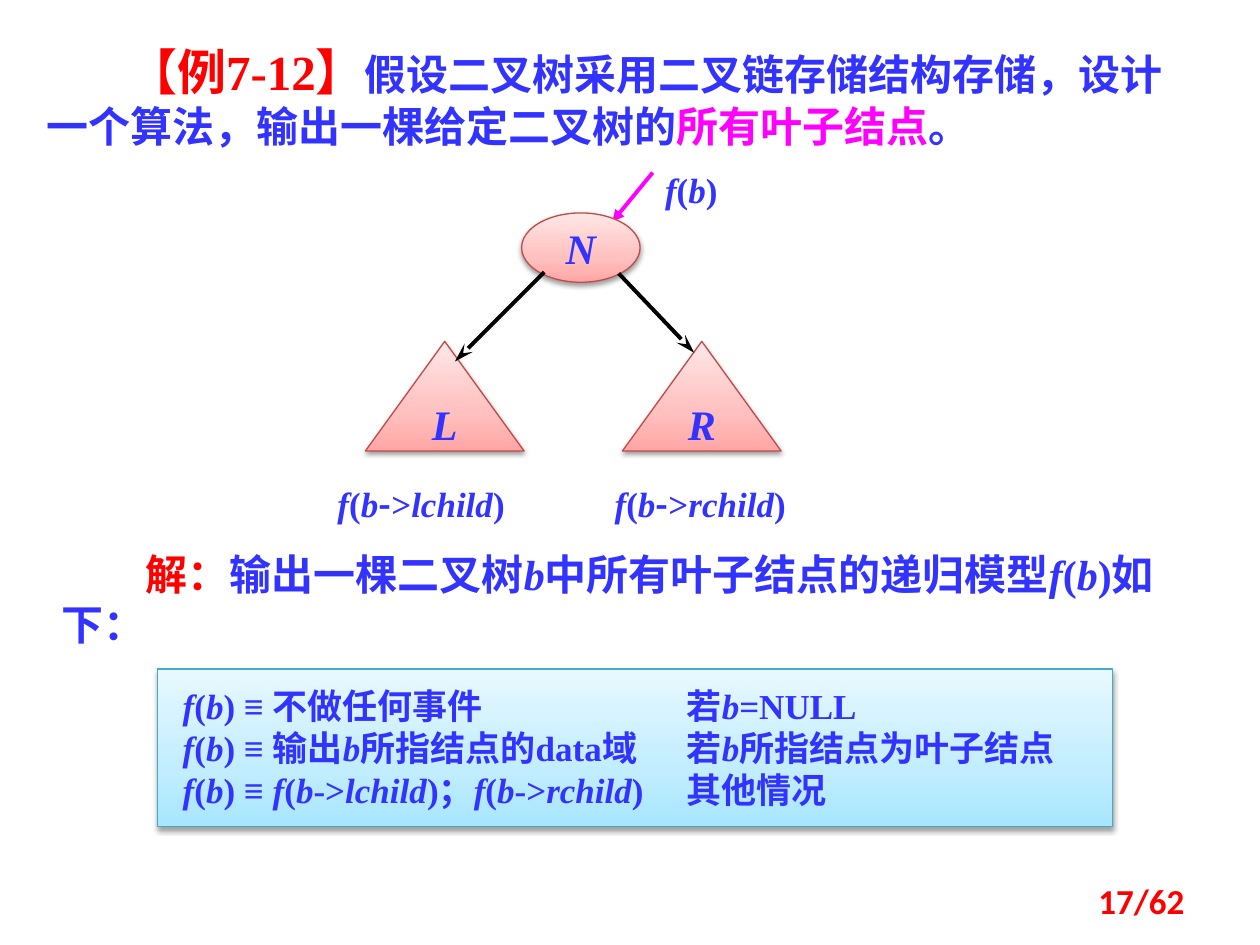
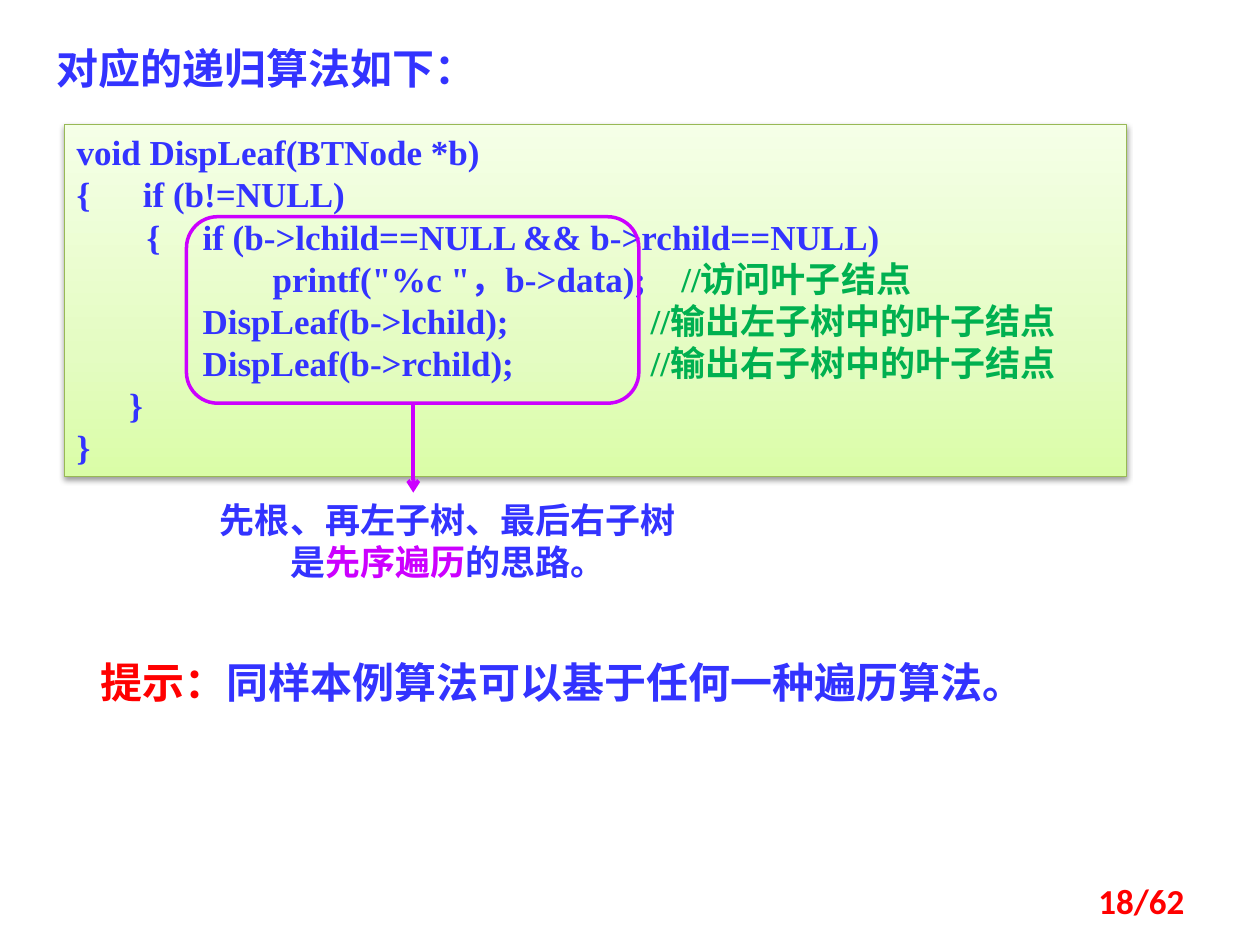
from copy import deepcopy
from dataclasses import dataclass

from lxml import etree
from pptx import Presentation
from pptx.dml import color
from pptx.enum import shapes, text
from pptx.oxml import ns
from pptx.util import Inches, Pt

BLUE, RED, GREEN = "3333FF", "FF0000", "00B050"
MAGENTA, PURPLE, BLACK = "FF00FF", "CC00FF", "000000"
SERIF, SANS, CJK = "Times New Roman", "Calibri", "Noto Sans CJK SC"
PAGE_COUNT = 62
LEFT, CENTER, RIGHT = text.PP_ALIGN.LEFT, text.PP_ALIGN.CENTER, text.PP_ALIGN.RIGHT


@dataclass(frozen=True)
class Run:
    text: str
    color: str = BLUE
    italic: bool = False
    size: int | None = None
    font: str = SERIF


@dataclass(frozen=True)
class Box:
    left: float
    top: float
    width: float
    height: float


@dataclass(frozen=True)
class Theme:
    line: str
    stops: tuple[str, str, str]


@dataclass(frozen=True)
class Node:
    label: str
    kind: shapes.MSO_SHAPE
    box: Box


@dataclass(frozen=True)
class Arrow:
    start: tuple[float, float]
    end: tuple[float, float]
    color: str
    head: str
    head_length: str = "med"


SKY = Theme("46AAC5", ("A7E6FF", "C1EDFF", "E7F8FF"))
ROSE = Theme("BF4C48", ("FFA6A5", "FFC0BF", "FFE7E7"))
LIME = Theme("98B955", ("DAFDA7", "E4FCC2", "F5FFE7"))


def rgb(value: str) -> color.RGBColor:
    return color.RGBColor.from_string(value)


def formula(source: str, size: int | None = None) -> list[Run]:
    parts = enumerate(source.split("|"))
    return [Run(part, italic=index % 2 == 1, size=size) for index, part in parts if part]


def write(frame, paragraphs: list[list[Run]], size: int, align=LEFT, indent: float = 0,
          tabs: tuple[float, ...] = (), spacing: float | None = None) -> None:
    frame.word_wrap = True
    for index, runs in enumerate(paragraphs):
        paragraph = frame.paragraphs[0] if index == 0 else frame.add_paragraph()
        paragraph.alignment = align
        paragraph.line_spacing = spacing
        properties = paragraph._p.get_or_add_pPr()
        if indent:
            properties.set("indent", str(Inches(indent)))
        if tabs:
            tab_list = etree.SubElement(properties, ns.qn("a:tabLst"))
            for tab in tabs:
                etree.SubElement(tab_list, ns.qn("a:tab"), pos=str(Inches(tab)), algn="l")
        for item in runs:
            run = paragraph.add_run()
            run.text = item.text
            run.font.name = item.font
            run.font.size = Pt(item.size or size)
            run.font.bold = True
            run.font.italic = item.italic
            run.font.color.rgb = rgb(item.color)
            etree.SubElement(run._r.get_or_add_rPr(), ns.qn("a:ea"), typeface=CJK)


def inches(box: Box) -> tuple:
    return Inches(box.left), Inches(box.top), Inches(box.width), Inches(box.height)


def add_text(slide, box: Box, paragraphs: list[list[Run]], size: int, **options):
    frame = slide.shapes.add_textbox(*inches(box)).text_frame
    write(frame, paragraphs, size, **options)
    return frame


def add_panel(slide, kind, box: Box, theme: Theme):
    shape = slide.shapes.add_shape(kind, *inches(box))
    shape.line.color.rgb = rgb(theme.line)
    shape.line.width = Pt(0.75)
    shape.fill.gradient()
    shape.fill.gradient_angle = 90
    stop_list = shape._element.spPr.find(".//" + ns.qn("a:gsLst"))
    stop_list.append(deepcopy(stop_list[0]))
    for stop, position, value in zip(shape.fill.gradient_stops, (0, 0.35, 1), theme.stops):
        stop.position = position
        stop.color.rgb = rgb(value)
    shape.shadow.inherit = False
    effects = shape._element.spPr.find(ns.qn("a:effectLst"))
    shadow = etree.SubElement(effects, ns.qn("a:outerShdw"), blurRad=str(Pt(3.1)),
                              dist=str(Pt(1.6)), dir="5400000", rotWithShape="0")
    tint = etree.SubElement(shadow, ns.qn("a:srgbClr"), val=BLACK)
    etree.SubElement(tint, ns.qn("a:alpha"), val="38000")
    shape.text_frame.vertical_anchor = text.MSO_ANCHOR.TOP
    return shape


def add_node(slide, node: Node) -> None:
    frame = add_panel(slide, node.kind, node.box, ROSE).text_frame
    write(frame, [[Run(node.label, italic=True)]], 24, align=CENTER)
    frame.word_wrap = False
    frame.vertical_anchor = text.MSO_ANCHOR.MIDDLE


def add_arrow(slide, arrow: Arrow) -> None:
    points = [Inches(value) for value in (*arrow.start, *arrow.end)]
    connector = slide.shapes.add_connector(shapes.MSO_CONNECTOR.STRAIGHT, *points)
    connector.line.color.rgb = rgb(arrow.color)
    connector.line.width = Pt(2.25)
    properties = connector._element.spPr
    etree.SubElement(properties.find(ns.qn("a:ln")), ns.qn("a:tailEnd"),
                     type=arrow.head, w="med", len=arrow.head_length)
    etree.SubElement(properties, ns.qn("a:effectLst"))


def add_slide(presentation, number: int):
    slide = presentation.slides.add_slide(presentation.slide_layouts[6])
    footer = [[Run(f"{number}/{PAGE_COUNT}", RED, font=SANS)]]
    frame = add_text(slide, Box(7.17, 6.95, 2.33, 0.4), footer, 20, align=RIGHT)
    frame.vertical_anchor = text.MSO_ANCHOR.MIDDLE
    return slide


def add_tree(slide) -> None:
    add_arrow(slide, Arrow((5.18, 1.37), (4.86, 1.76), MAGENTA, "triangle"))
    add_text(slide, Box(5.18, 1.29, 0.79, 0.43), [formula("|f|(|b|)")], 20)
    for child, left in (("lchild", 2.58), ("rchild", 4.78)):
        label = [*formula("|f|(|b|"), Run("-", font=CJK), *formula(f">|{child}|)")]
        add_text(slide, Box(left, 3.78, 2.12, 0.43), [label], 20)
    triangle = shapes.MSO_SHAPE.ISOSCELES_TRIANGLE
    for node in (
        Node("N", shapes.MSO_SHAPE.OVAL, Box(4.14, 1.69, 0.94, 0.55)),
        Node("L", triangle, Box(2.9, 2.71, 1.26, 0.87)),
        Node("R", triangle, Box(4.94, 2.71, 1.26, 0.87)),
    ):
        add_node(slide, node)
    add_arrow(slide, Arrow((4.32, 2.16), (3.61, 2.87), BLACK, "stealth", "lg"))
    add_arrow(slide, Arrow((4.91, 2.17), (5.51, 2.8), BLACK, "stealth", "lg"))


def build_model_slide(presentation) -> None:
    slide = add_slide(presentation, 17)
    panel = add_panel(slide, shapes.MSO_SHAPE.RECTANGLE, Box(1.25, 5.31, 7.58, 1.25), SKY)
    frame = panel.text_frame
    frame.margin_left = frame.margin_right = Inches(0.2)
    frame.margin_top = frame.margin_bottom = Inches(0.12)
    cases = [
        "不做任何事件\t若|b|=NULL",
        "输出|b|所指结点的data域\t若|b|所指结点为叶子结点",
        "|f|(|b|->|lchild|)；|f|(|b|->|rchild|)\t其他情况",
    ]
    write(frame, [formula("|f|(|b|) ≡ " + case) for case in cases], 20, tabs=(4,))
    question = [
        Run("【例7-12】", RED, size=28),
        Run("假设二叉树采用二叉链存储结构存储，设计一个算法，输出一棵给定二叉树的"),
        Run("所有叶子结点", MAGENTA),
        Run("。"),
    ]
    add_text(slide, Box(0.27, 0.28, 9.34, 0.98), [question], 24, indent=0.65)
    answer = [Run("解：", RED, font=CJK),
              *formula("输出一棵二叉树|b|中所有叶子结点的递归模型|f|(|b|)如下：")]
    add_text(slide, Box(0.39, 4.3, 8.98, 0.91), [answer], 24, indent=0.67)
    add_tree(slide)


def build_code_slide(presentation) -> None:
    slide = add_slide(presentation, 18)
    code = [
        ("void DispLeaf(BTNode *b)", ""),
        ("{      if (b!=NULL)", ""),
        ("        {\tif (b->lchild==NULL && b->rchild==NULL)", ""),
        ("\t        printf(\"%c \"，b->data);    ", "//访问叶子结点"),
        ("\tDispLeaf(b->lchild);\t        ", "//输出左子树中的叶子结点"),
        ("\tDispLeaf(b->rchild);\t        ", "//输出右子树中的叶子结点"),
        ("      }", ""),
        ("}", ""),
    ]
    lines = [[Run(statement)] + ([Run(comment, GREEN)] if comment else [])
             for statement, comment in code]
    panel = add_panel(slide, shapes.MSO_SHAPE.RECTANGLE, Box(0.51, 0.99, 8.43, 2.79), LIME)
    write(panel.text_frame, lines, 20, tabs=(1, 4))
    add_text(slide, Box(0.35, 0.21, 4.49, 0.54), [[Run("对应的递归算法如下：")]], 24, spacing=1.2)

    outline = slide.shapes.add_shape(shapes.MSO_SHAPE.ROUNDED_RECTANGLE,
                                     *inches(Box(1.48, 1.72, 3.59, 1.48)))
    outline.fill.background()
    outline.line.color.rgb = rgb(PURPLE)
    outline.line.width = Pt(2)
    outline.shadow.inherit = False
    add_arrow(slide, Arrow((3.28, 3.2), (3.28, 3.91), PURPLE, "arrow"))

    idea = [[Run("先根、再左子树、最后右子树")],
            [Run("是"), Run("先序遍历", PURPLE), Run("的思路。")]]
    add_text(slide, Box(1.17, 3.91, 4.77, 0.77), idea, 20, align=CENTER)
    hint = [Run("提示：", RED, font=CJK), Run("同样本例算法可以基于任何一种遍历算法。")]
    add_text(slide, Box(0.7, 5.16, 7.71, 0.5), [hint], 24)


def main() -> None:
    presentation = Presentation()
    presentation.slide_width = Inches(10)
    presentation.slide_height = Inches(7.5)
    build_model_slide(presentation)
    build_code_slide(presentation)
    presentation.save("out.pptx")


if __name__ == "__main__":
    main()
